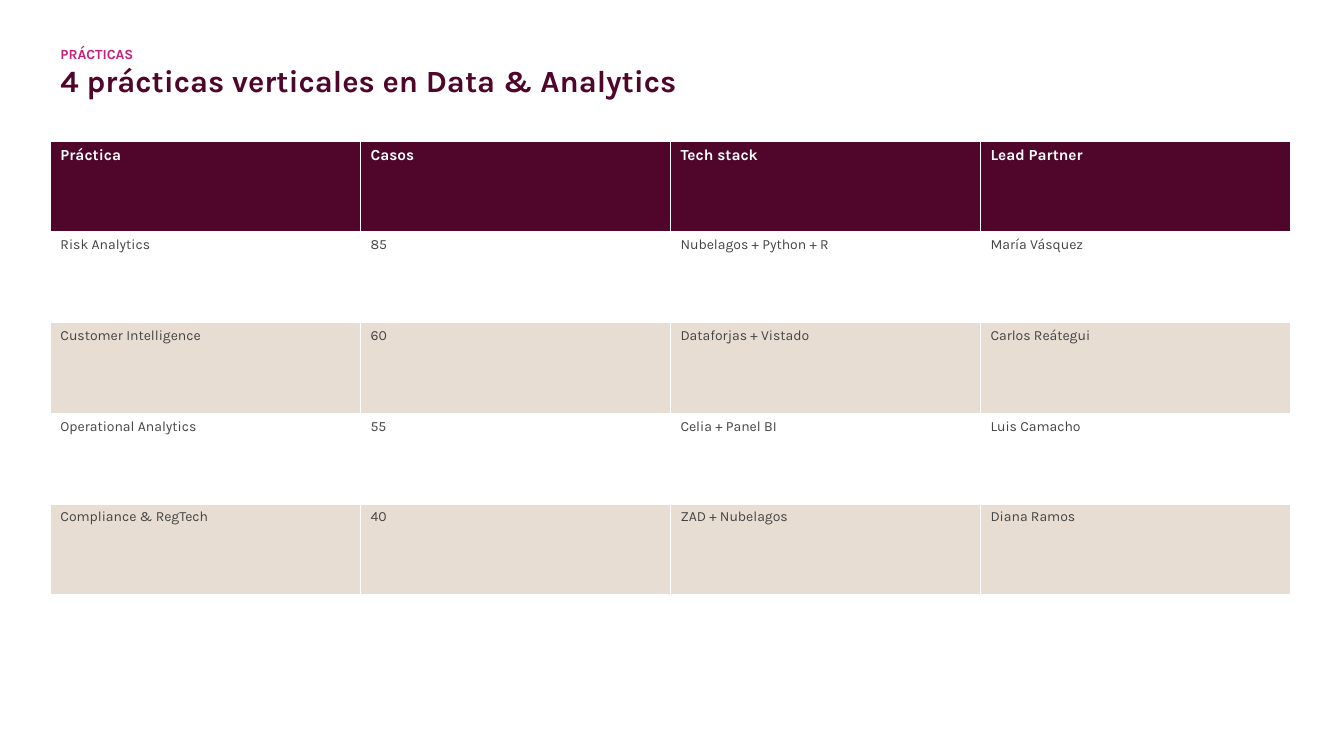
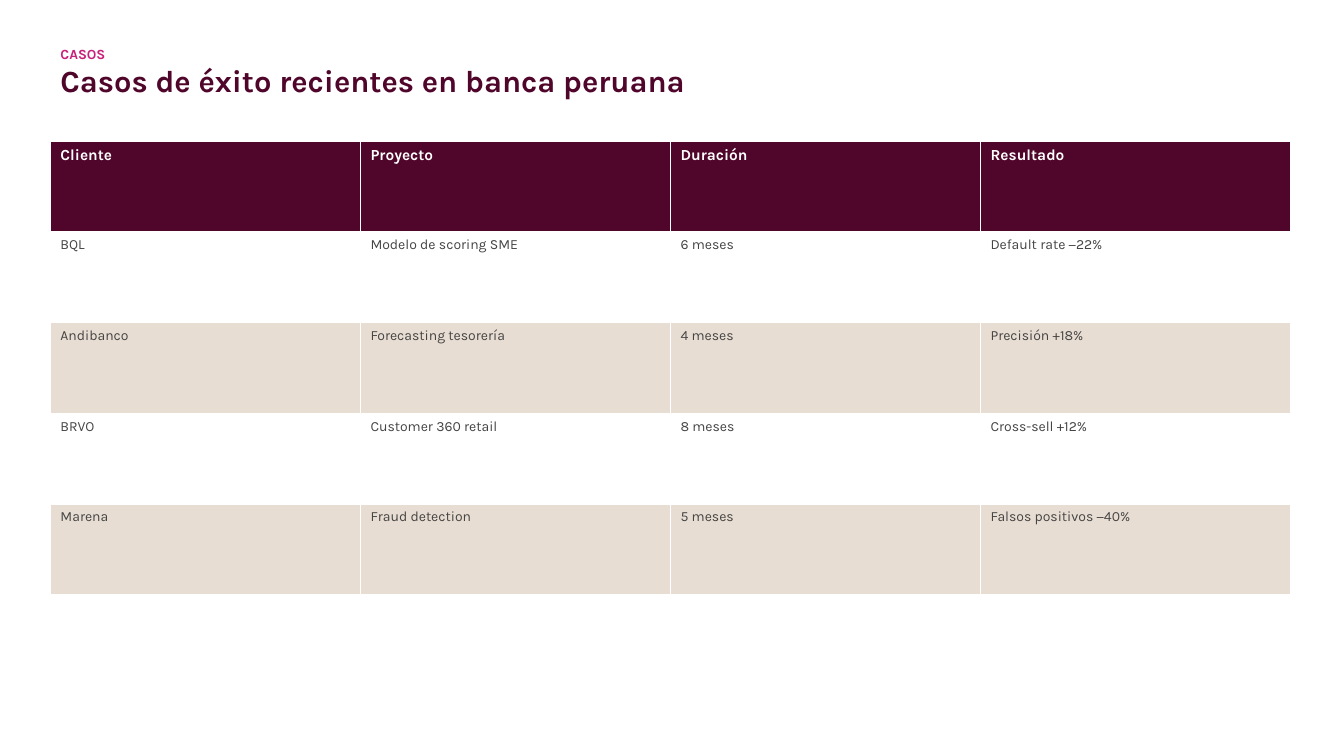
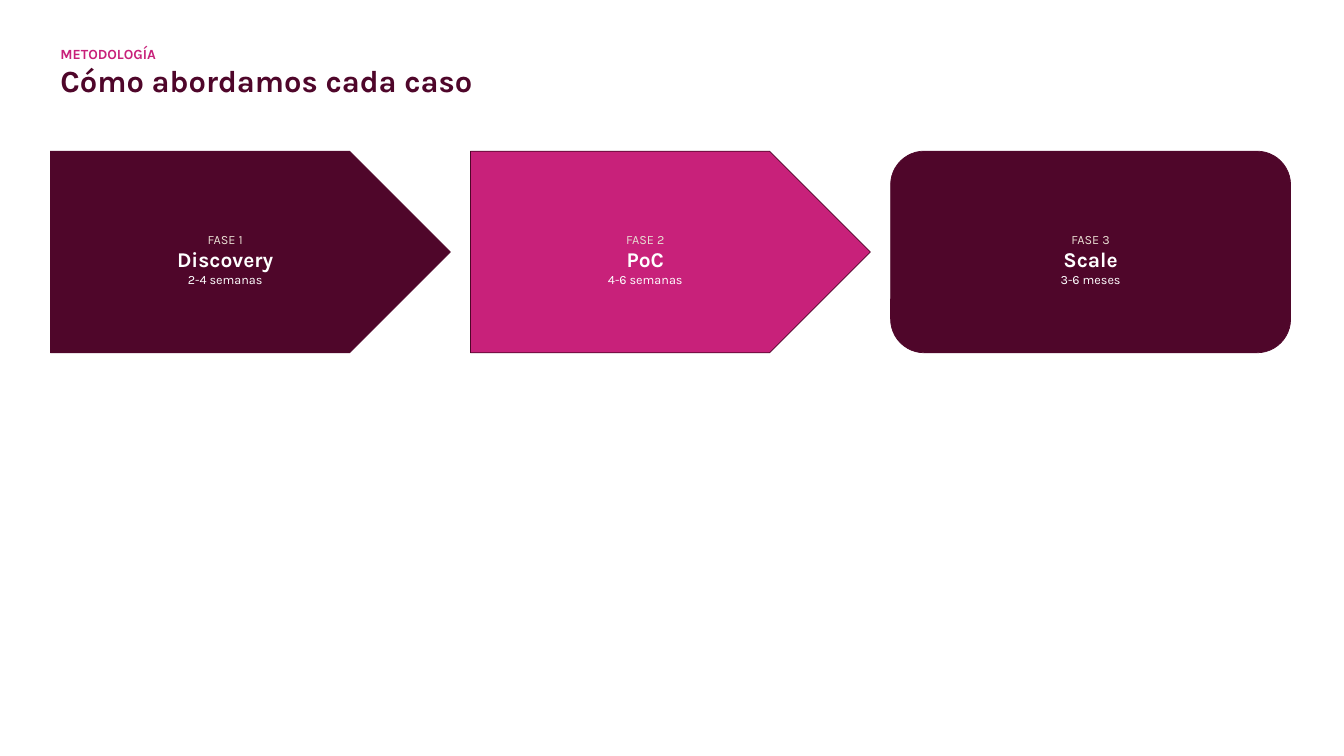
from pptx import Presentation
from pptx import util as u
from pptx.dml.color import RGBColor
from pptx.enum import shapes, text

INK = {"wine": "4F062A", "pink": "C8217A", "sand": "E8DDD2",
       "white": "FFFFFF", "grey": "444444"}
FONT = "Karla"
WIDE, HIGH = 13.33, 7.5
LEFT, SPAN, GAP = 0.5, 12.3, 0.2
ROW = 0.9

TABLES = [
    ("PRÁCTICAS", "4 prácticas verticales en Data & Analytics", [
        ("Práctica", "Casos", "Tech stack", "Lead Partner"),
        ("Risk Analytics", "85", "Nubelagos + Python + R", "María Vásquez"),
        ("Customer Intelligence", "60", "Dataforjas + Vistado", "Carlos Reátegui"),
        ("Operational Analytics", "55", "Celia + Panel BI", "Luis Camacho"),
        ("Compliance & RegTech", "40", "ZAD + Nubelagos", "Diana Ramos"),
    ]),
    ("CASOS", "Casos de éxito recientes en banca peruana", [
        ("Cliente", "Proyecto", "Duración", "Resultado"),
        ("BQL", "Modelo de scoring SME", "6 meses", "Default rate −22%"),
        ("Andibanco", "Forecasting tesorería", "4 meses", "Precisión +18%"),
        ("BRVO", "Customer 360 retail", "8 meses", "Cross-sell +12%"),
        ("Marena", "Fraud detection", "5 meses", "Falsos positivos −40%"),
    ]),
]
PHASES = [
    ("FASE 1", "Discovery", "2-4 semanas", "wine", "PENTAGON"),
    ("FASE 2", "PoC", "4-6 semanas", "pink", "PENTAGON"),
    ("FASE 3", "Scale", "3-6 meses", "wine", "ROUNDED_RECTANGLE"),
]


def color(name):
    return RGBColor.from_string(INK[name])


def paint(item, name):
    item.fill.solid()
    item.fill.fore_color.rgb = color(name)


def write(frame, lines, align=text.PP_ALIGN.LEFT):
    """Fill a frame with lines of (words, size, colour, bold)."""
    frame.text = "\n".join(line[0] for line in lines)
    for para, (_, size, ink, bold) in zip(frame.paragraphs, lines):
        para.alignment = align
        for run in para.runs:
            font = run.font
            font.name, font.size, font.bold = FONT, u.Pt(size), bold
            font.color.rgb = color(ink)


def new_slide(deck, label, title):
    slide = deck.slides.add_slide(deck.slide_layouts[5])
    head = slide.shapes.title
    head.left, head.top = u.Inches(LEFT), u.Inches(0.4)
    head.width, head.height = u.Inches(SPAN), u.Inches(0.5)
    frame = head.text_frame
    frame.word_wrap = True
    frame.auto_size = text.MSO_AUTO_SIZE.SHAPE_TO_FIT_TEXT
    frame.vertical_anchor = text.MSO_ANCHOR.TOP
    write(frame, [(label, 10, "pink", True), (title, 22, "wine", True)])
    return slide


def add_grid(slide, rows):
    table = slide.shapes.add_table(
        len(rows), len(rows[0]), u.Inches(LEFT), u.Inches(1.4),
        u.Inches(SPAN), u.Inches(ROW * len(rows))).table
    for r, row in enumerate(rows):
        for c, words in enumerate(row):
            cell = table.cell(r, c)
            if r == 0:
                fill, style = "wine", (11, "white", True)
            else:
                fill, style = ("white" if r % 2 else "sand"), (10, "grey", False)
            paint(cell, fill)
            write(cell.text_frame, [(words, *style)])


def add_phases(slide, phases):
    width = (SPAN - GAP * (len(phases) - 1)) / len(phases)
    for i, (label, name, time, fill, kind) in enumerate(phases):
        box = slide.shapes.add_shape(
            shapes.MSO_SHAPE[kind], u.Inches(LEFT + i * (width + GAP)),
            u.Inches(1.5), u.Inches(width), u.Inches(2))
        box.shadow.inherit = False
        paint(box, fill)
        box.line.color.rgb = color("wine")
        box.line.width = u.Pt(0.5)
        frame = box.text_frame
        frame.word_wrap = True
        frame.vertical_anchor = text.MSO_ANCHOR.MIDDLE
        frame.margin_left = frame.margin_right = frame.margin_top = u.Inches(0.2)
        frame.margin_bottom = u.Inches(0.05)
        write(frame, [(label, 9, "sand", False), (name, 15, "white", True),
                      (time, 9, "white", False)], text.PP_ALIGN.CENTER)


def main():
    deck = Presentation()
    deck.slide_width, deck.slide_height = u.Inches(WIDE), u.Inches(HIGH)
    for label, title, rows in TABLES:
        add_grid(new_slide(deck, label, title), rows)
    add_phases(new_slide(deck, "METODOLOGÍA", "Cómo abordamos cada caso"), PHASES)
    deck.save("out.pptx")


if __name__ == "__main__":
    main()
